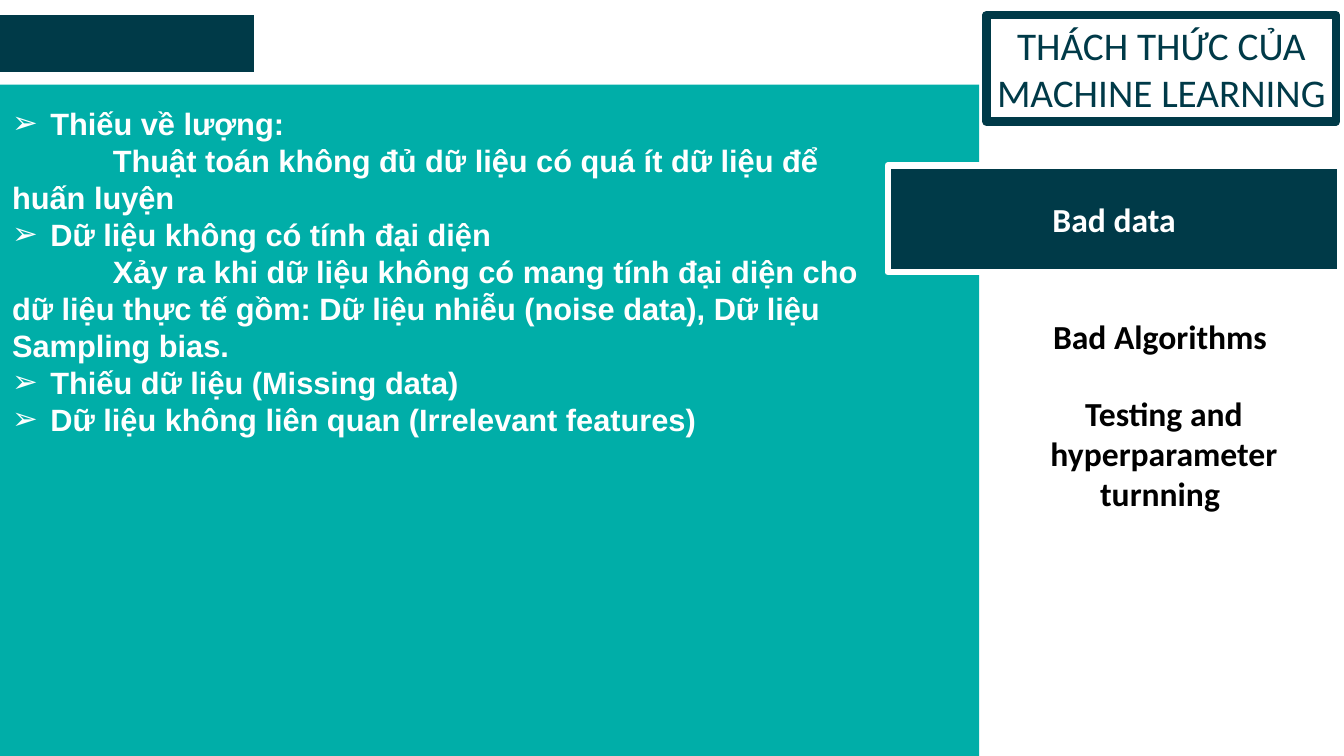
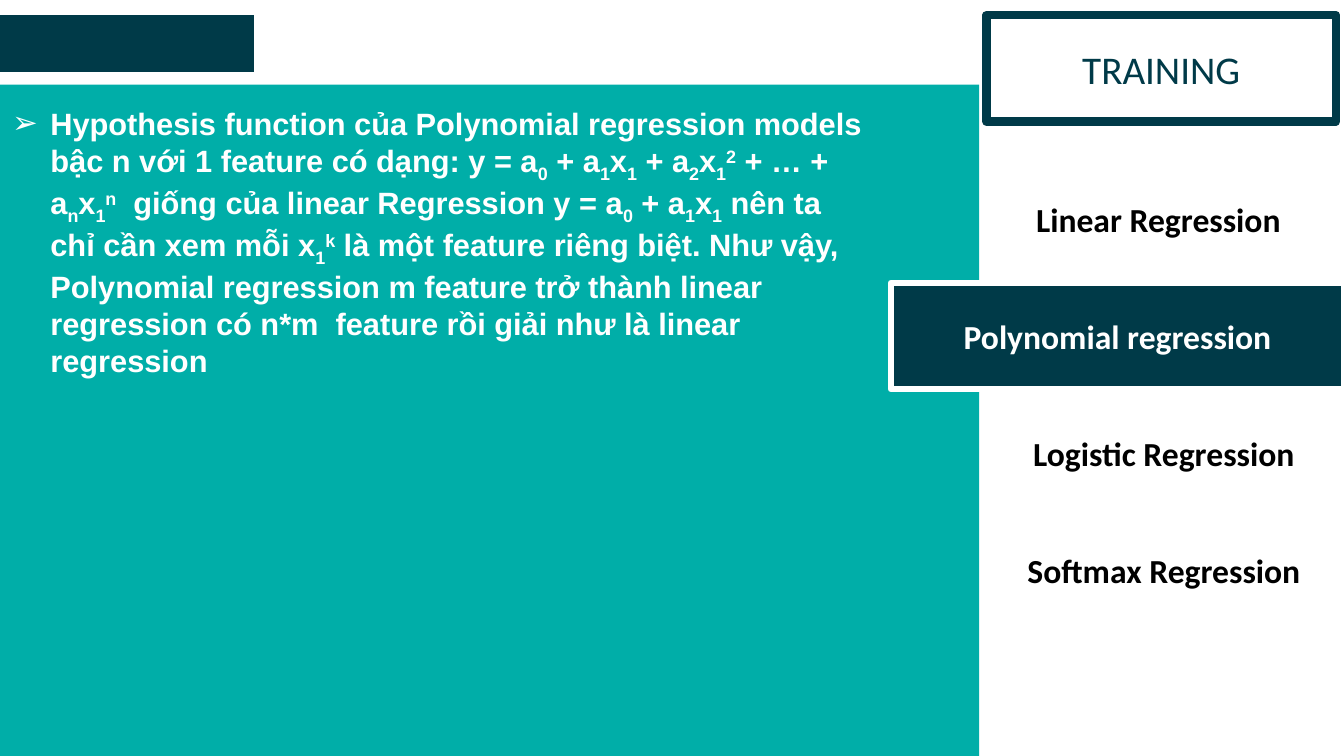
from dataclasses import dataclass
from itertools import groupby

from lxml.etree import SubElement
from pptx import Presentation
from pptx.dml.color import RGBColor
from pptx.enum.shapes import MSO_SHAPE
from pptx.enum.text import MSO_ANCHOR, MSO_AUTO_SIZE, PP_ALIGN
from pptx.oxml.ns import qn
from pptx.util import Inches, Pt


@dataclass(frozen=True)
class Theme:
    """Colours, fonts, type sizes and line widths."""
    dark: str = "003A48"
    teal: str = "00AEA8"
    white: str = "FFFFFF"
    black: str = "000000"
    label_font: str = "Calibri"
    body_font: str = "Arial"
    title_size: float = 28
    menu_size: float = 24
    body_size: float = 22
    title_line: float = 6
    menu_line: float = 4.5


THEME = Theme()

# Places as percentages of the slide: left, top, width, height
PANEL = (0, 11.2, 72.85, 88.8)
TAG = (0, 2, 18.9, 7.5)
TITLE = (73.4, 2, 26, 14.1)
BODY_LEFT, BODY_TOP, BODY_WIDTH = -3.6, 13.2, 69.2
MENU_LEFT, MENU_TOP, MENU_HEIGHT, MENU_PITCH = 73.2, 21.9, 14.1, 15.5
ACTIVE_WIDTH = 33.7

# "_" lowers the next character, "^" raises it
SCRIPTS = {"_": -25000, "^": 30000}


def split_scripts(text):
    """Yield (baseline, text) for each stretch of marked-up text."""
    characters, baseline = [], 0
    for character in text:
        if character in SCRIPTS:
            baseline = SCRIPTS[character]
        else:
            characters.append((baseline, character))
            baseline = 0
    for shift, group in groupby(characters, key=lambda pair: pair[0]):
        yield shift, "".join(character for _, character in group)


def write(para, text, *, font, size, color, bold=False, align=PP_ALIGN.LEFT):
    """Write marked-up text into a paragraph."""
    para.alignment = align
    para.line_spacing = 1.0
    para.space_before = para.space_after = Pt(0)
    for baseline, words in split_scripts(text):
        span = para.add_run()
        span.text = words
        span.font.name = font
        span.font.size = Pt(size)
        span.font.bold = bold
        span.font.color.rgb = RGBColor.from_string(color)
        if baseline:
            span.font._element.set("baseline", str(baseline))


def set_indent(para, left, first, bullet=None):
    """Set indents in inches and an optional bullet character."""
    properties = para._p.get_or_add_pPr()
    properties.set("marL", str(Inches(left)))
    properties.set("indent", str(Inches(first)))
    if bullet:
        SubElement(properties, qn("a:buChar")).set("char", bullet)
    else:
        SubElement(properties, qn("a:buNone"))


class SlideBuilder:
    """Holds the deck, its theme and the current page."""

    def __init__(self, theme):
        self.theme = theme
        self.deck = Presentation()
        self.deck.slide_width = Inches(13.33)
        self.deck.slide_height = Inches(7.5)
        self.page = None

    def new_page(self):
        self.page = self.deck.slides.add_slide(self.deck.slide_layouts[1])
        self.rectangle(PANEL, fill=self.theme.teal)

    def lengths(self, place):
        sides = (self.deck.slide_width, self.deck.slide_height) * 2
        return [round(side * share / 100) for side, share in zip(sides, place)]

    def paint(self, box, fill=None, line=None, line_width=0):
        if fill:
            box.fill.solid()
            box.fill.fore_color.rgb = RGBColor.from_string(fill)
        else:
            box.fill.background()
        if line:
            box.line.color.rgb = RGBColor.from_string(line)
            box.line.width = Pt(line_width)
        else:
            box.line.fill.background()

    def rectangle(self, place, **paint):
        box = self.page.shapes.add_shape(MSO_SHAPE.RECTANGLE, *self.lengths(place))
        box.shadow.inherit = False
        self.paint(box, **paint)
        return box

    def placeholder(self, index, place, anchor):
        """Move a template placeholder and bring it to the front."""
        box = self.page.placeholders[index]
        box.left, box.top, box.width, box.height = self.lengths(place)
        box.text_frame.word_wrap = True
        box.text_frame.auto_size = MSO_AUTO_SIZE.NONE
        box.text_frame.vertical_anchor = anchor
        self.page.shapes._spTree.append(box._element)
        return box

    def title(self, text):
        theme = self.theme
        box = self.placeholder(0, TITLE, MSO_ANCHOR.MIDDLE)
        self.paint(box, theme.white, theme.dark, theme.title_line)
        write(box.text_frame.paragraphs[0], text, font=theme.label_font,
              size=theme.title_size, color=theme.dark, align=PP_ALIGN.CENTER)

    def body(self, items, height):
        """List of (is_bullet, text); plain items get a first-line indent."""
        theme = self.theme
        place = (BODY_LEFT, BODY_TOP, BODY_WIDTH, height)
        frame = self.placeholder(1, place, MSO_ANCHOR.TOP).text_frame
        for number, (is_bullet, text) in enumerate(items):
            para = frame.add_paragraph() if number else frame.paragraphs[0]
            para.level = 1
            write(para, text, font=theme.body_font, size=theme.body_size,
                  color=theme.white, bold=True)
            if is_bullet:
                set_indent(para, 0.88, -0.38, "➢")
            else:
                set_indent(para, 0.5, 1)

    def menu(self, labels, active):
        """Stack of labels; the active one reaches into the panel."""
        theme = self.theme
        for row, label in enumerate(labels):
            is_active = row == active
            right = 100 if row else 99.75
            left = right - ACTIVE_WIDTH if is_active else MENU_LEFT
            place = (left, MENU_TOP + row * MENU_PITCH, right - left, MENU_HEIGHT)
            box = self.rectangle(place, fill=theme.dark if is_active else None,
                                 line=theme.white, line_width=theme.menu_line)
            box.text_frame.word_wrap = True
            box.text_frame.vertical_anchor = MSO_ANCHOR.MIDDLE
            write(box.text_frame.paragraphs[0], label, font=theme.label_font,
                  size=theme.menu_size, bold=True, align=PP_ALIGN.CENTER,
                  color=theme.white if is_active else theme.black)

    def topic(self, title, items, body_height, labels, active):
        """One whole page: panel, list, title, menu and corner tag."""
        self.new_page()
        self.body(items, body_height)
        self.title(title)
        self.menu(labels, active)
        self.rectangle(TAG, fill=self.theme.dark)


def main():
    builder = SlideBuilder(THEME)

    # Challenges
    builder.topic(
        "THÁCH THỨC CỦA MACHINE LEARNING",
        [
            (True, "Thiếu về lượng:"),
            (False, "Thuật toán không đủ dữ liệu có quá ít dữ liệu để huấn luyện"),
            (True, "Dữ liệu không có tính đại diện"),
            (False, "Xảy ra khi dữ liệu không có mang tính đại diện cho dữ liệu "
                    "thực tế gồm: Dữ liệu nhiễu (noise data), Dữ liệu Sampling bias."),
            (True, "Thiếu dữ liệu (Missing data)"),
            (True, "Dữ liệu không liên quan (Irrelevant features)"),
        ],
        body_height=49.9,
        labels=["Bad data", "Bad Algorithms ", "Testing and hyperparameter turnning "],
        active=0,
    )

    # Training
    builder.topic(
        "TRAINING",
        [
            (True, "Hypothesis function của Polynomial regression models bậc n với "
                   "1 feature có dạng: y = a_0 + a_1x_1 + a_2x_1^2 + … + a_nx_1^n  "
                   "giống của linear Regression y = a_0 + a_1x_1 nên ta chỉ cần xem "
                   "mỗi x_1^k là một feature riêng biệt. Như vậy, Polynomial "
                   "regression m feature trở thành linear regression có n*m  feature "
                   "rồi giải như là linear regression"),
        ],
        body_height=35.9,
        labels=["Linear Regression ", "Polynomial regression",
                "Logistic Regression", "Softmax Regression"],
        active=1,
    )

    builder.deck.save("out.pptx")


if __name__ == "__main__":
    main()
